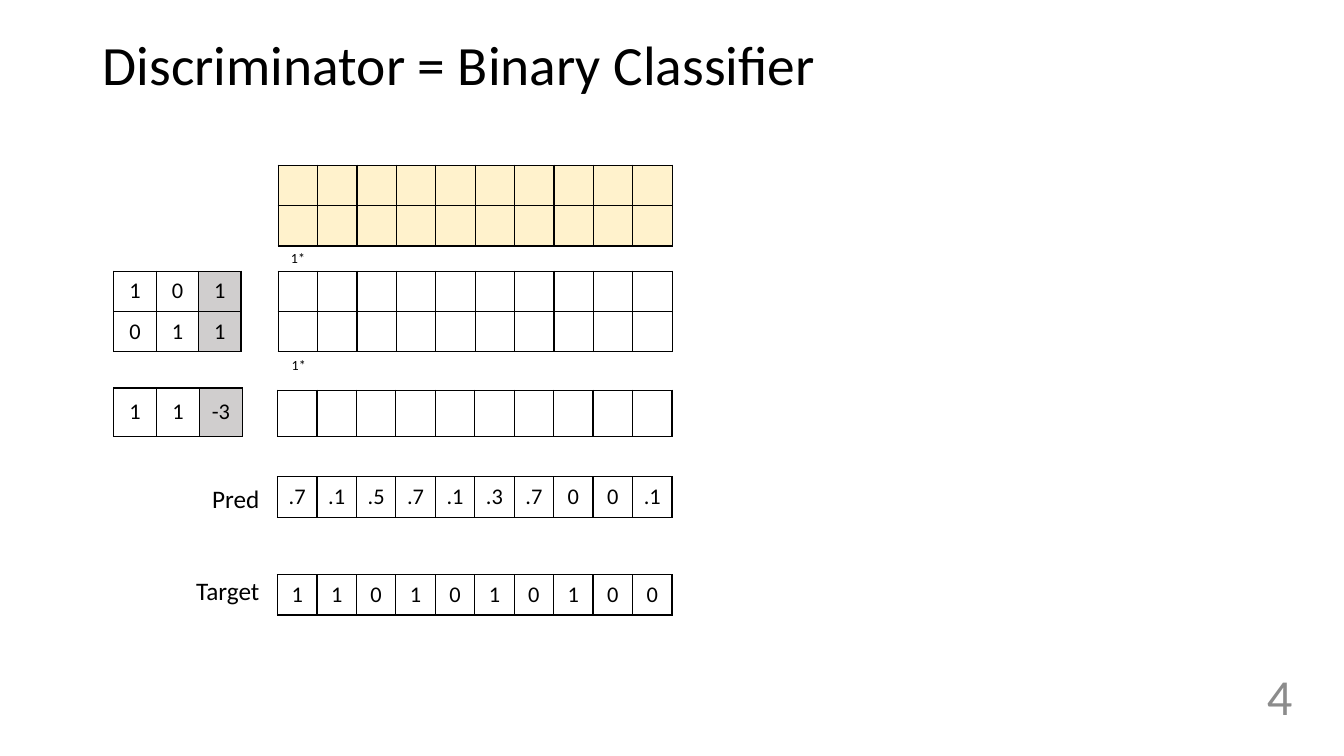
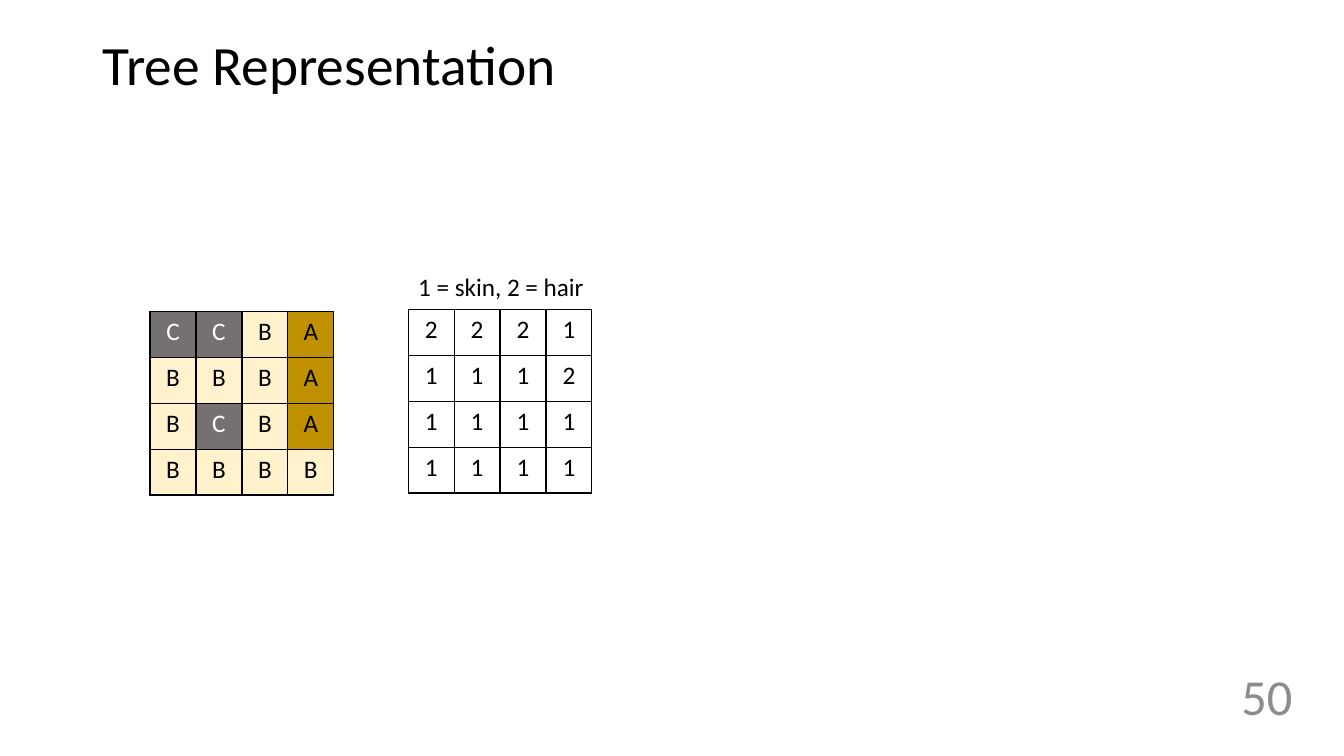
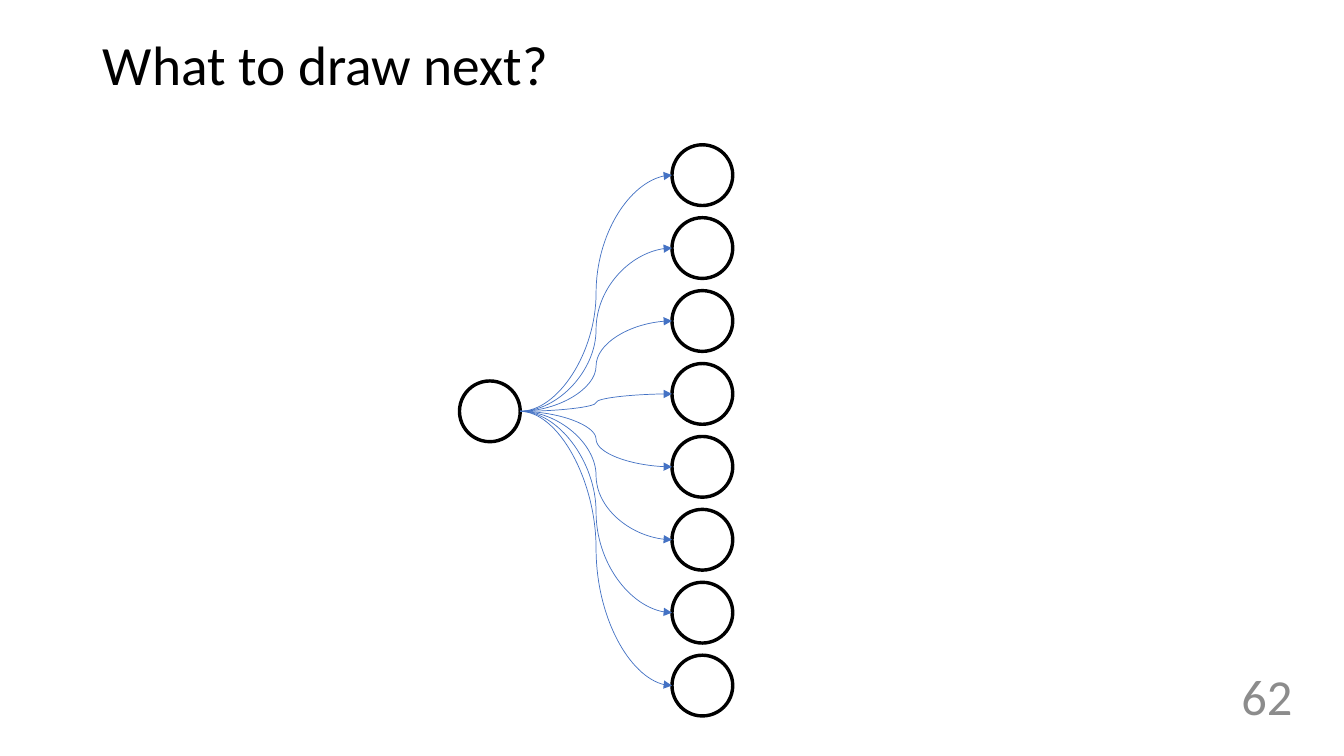
from collections import namedtuple

from lxml.etree import SubElement
from pptx import Presentation
from pptx.dml.color import RGBColor
from pptx.enum.shapes import MSO_CONNECTOR, MSO_SHAPE
from pptx.enum.text import MSO_ANCHOR, MSO_AUTO_SIZE, PP_ALIGN
from pptx.oxml.ns import qn
from pptx.util import Pt

Box = namedtuple("Box", "left top width height")

FONT = "Calibri"
BLACK, WHITE, NUMBER_GRAY, BLUE = "000000", "FFFFFF", "8C8C8C", "4472C4"
CREAM, BIAS_GRAY, HAIR_GRAY, GOLD = "FFF2CC", "D0CECE", "767171", "BF9000"
PLAIN_STYLE = "{2D5ABB26-0587-4C30-8999-92F81FD0307C}"

TITLE_BOX = Box(66.24, 28.8, 828, 39.6)
NUMBER_BOX = Box(840.24, 465.84, 90, 61.92)
TITLE_FRAME = {"vertical_anchor": MSO_ANCHOR.MIDDLE, "auto_size": MSO_AUTO_SIZE.NONE, "word_wrap": True}
NUMBER_FRAME = {"vertical_anchor": MSO_ANCHOR.MIDDLE, "word_wrap": True}
LABEL_FRAME = {"word_wrap": False, "auto_size": MSO_AUTO_SIZE.SHAPE_TO_FIT_TEXT}
TITLE_PARA = {"alignment": PP_ALIGN.LEFT, "line_spacing": 0.9}
NETWORK_CELL = {
    "vertical_anchor": MSO_ANCHOR.MIDDLE,
    "margin_left": Pt(6.5), "margin_right": Pt(6.5),
    "margin_top": Pt(3), "margin_bottom": Pt(3),
}
PIXEL_CELL = {"vertical_anchor": MSO_ANCHOR.TOP}

LETTER_FILLS = {"A": GOLD, "B": CREAM, "C": HAIR_GRAY}
LETTER_INKS = {"C": WHITE}


def color(value):
    return RGBColor.from_string(value)


def points(*values):
    return [Pt(value) for value in values]


def apply_format(target, values):
    for name, value in values.items():
        setattr(target, name, value)


def write(para, text, size, ink=BLACK):
    span = para.add_run()
    span.text = text
    apply_format(span.font, {"name": FONT, "size": Pt(size), "bold": False})
    span.font.color.rgb = color(ink)


def add_text(page, box, text, size, frame_format, para_format, ink=BLACK):
    frame = page.shapes.add_textbox(*points(*box)).text_frame
    apply_format(frame, frame_format)
    para = frame.paragraphs[0]
    apply_format(para, para_format)
    write(para, text, size, ink)


def add_page(deck, title, number):
    page = deck.slides.add_slide(deck.slide_layouts[5])
    holder = page.shapes.title
    apply_format(holder, dict(zip(Box._fields, points(*TITLE_BOX))))
    apply_format(holder.text_frame, TITLE_FRAME)
    para = holder.text_frame.paragraphs[0]
    apply_format(para, TITLE_PARA)
    write(para, title, 39.6)
    add_text(page, NUMBER_BOX, number, 36, NUMBER_FRAME, {"alignment": PP_ALIGN.RIGHT}, NUMBER_GRAY)
    return page


def add_label(page, box, text):
    add_text(page, box, text, 18, LABEL_FRAME, {"alignment": PP_ALIGN.LEFT})


def add_borders(cell):
    properties = cell._tc.get_or_add_tcPr()
    for side in ("a:lnL", "a:lnR", "a:lnT", "a:lnB"):
        line = SubElement(properties, qn(side), w=str(Pt(1)))
        SubElement(SubElement(line, qn("a:solidFill")), qn("a:srgbClr"), val=BLACK)


def add_grid(page, box, rows, size=16, cell_format=NETWORK_CELL, fill_for=None, inks=None, bordered=True):
    table = page.shapes.add_table(len(rows), len(rows[0]), *points(*box)).table
    apply_format(table, {"first_row": False, "horz_banding": False})
    table._tbl.tblPr.find(qn("a:tableStyleId")).text = PLAIN_STYLE
    for row_index, row in enumerate(rows):
        for column_index, text in enumerate(row):
            cell = table.cell(row_index, column_index)
            apply_format(cell, cell_format)
            if bordered:
                add_borders(cell)
            fill = fill_for(column_index, text) if fill_for else None
            if fill:
                cell.fill.solid()
                cell.fill.fore_color.rgb = color(fill)
            else:
                cell.fill.background()
            para = cell.text_frame.paragraphs[0]
            para.alignment = PP_ALIGN.CENTER
            if text:
                write(para, text, size, (inks or {}).get(text, BLACK))
            else:
                SubElement(para._p, qn("a:endParaRPr"), sz=str(size * 100))


def bias_fill(column, text):
    return BIAS_GRAY if column == 2 else None


def cream_fill(column, text):
    return CREAM


def letter_fill(column, text):
    return LETTER_FILLS[text]


def draw_classifier(page, box):
    empty = [""] * 10
    samples = box.left + 117.5
    width = box.width - 117.5
    add_grid(page, Box(samples, box.top, width, 57.6), [empty] * 2, fill_for=cream_fill)
    add_grid(page, Box(box.left, box.top + 75.6, 91, 57.6), ["101", "011"], fill_for=bias_fill)
    add_grid(page, Box(samples, box.top + 75.6, width, 57.6), [empty] * 2)
    add_grid(page, Box(box.left, box.top + 159.1, 92, 34.6), [["1", "1", "-3"]], fill_for=bias_fill)
    add_grid(page, Box(samples - 0.5, box.top + 160.6, width + 0.5, 33.1), [empty])
    for offset, top in ((-0.5, 55.4), (0, 131.8)):
        bias_box = Box(samples + offset, box.top + top, 87.8, 23)
        add_grid(page, bias_box, [["1*", "", ""]], size=10, bordered=False)
    predictions = [".7", ".1", ".5", ".7", ".1", ".3", ".7", "0", "0", ".1"]
    for top, values in ((222.5, predictions), (292.4, "1101010100")):
        add_grid(page, Box(samples - 0.5, box.top + top, width + 0.5, 28.8), [values])
    add_label(page, Box(box.left + 63.3, box.top + 223.9, 49, 28.8), "Pred")
    add_label(page, Box(box.left + 51.8, box.top + 289.4, 60.5, 28.8), "Target")


def draw_pixels(page, box):
    side = 131.2
    codes = box.left + box.width - side
    add_label(page, Box(codes, box.top, 134.6, 28.8), "1 = skin, 2 = hair")
    add_grid(page, Box(codes, box.top + 31, side, side), ["2221", "1112", "1111", "1111"],
             size=18, cell_format=PIXEL_CELL)
    add_grid(page, Box(box.left, box.top + 32.4, side, side), ["CCBA", "BBBA", "BCBA", "BBBB"],
             size=18, cell_format=PIXEL_CELL, fill_for=letter_fill, inks=LETTER_INKS)


def add_node(page, left, top, diameter):
    node = page.shapes.add_shape(MSO_SHAPE.OVAL, *points(left, top, diameter, diameter))
    node.shadow.inherit = False
    node.fill.background()
    node.line.color.rgb = color(BLACK)
    node.line.width = Pt(2.43)


def add_curve(page, start, end):
    curve = page.shapes.add_connector(MSO_CONNECTOR.CURVE, *points(*start, *end))
    curve.line.color.rgb = color(BLUE)
    curve.line.width = Pt(0.5)
    properties = curve._element.spPr
    SubElement(properties.find(qn("a:ln")), qn("a:tailEnd"), type="triangle")
    SubElement(properties, qn("a:effectLst"))


def draw_choices(page, box, count=8, diameter=43.4):
    radius = diameter / 2
    pitch = (box.height - diameter) / (count - 1)
    choices = box.left + box.width - diameter
    root_top = box.top + 168.7
    add_node(page, box.left, root_top, diameter)
    for index in range(count):
        top = box.top + index * pitch
        add_node(page, choices, top, diameter)
        add_curve(page, (box.left + diameter, root_top + radius), (choices, top + radius))


def main():
    deck = Presentation()
    deck.slide_width, deck.slide_height = points(960, 540)
    slides = [
        ("Discriminator = Binary Classifier", "4", draw_classifier, Box(81.2, 118.1, 399, 321.2)),
        ("Tree Representation", "50", draw_pixels, Box(107.2, 190, 315.6, 163.6)),
        ("What to draw next?", "62", draw_choices, Box(328.2, 103.4, 195.2, 408)),
    ]
    for title, number, draw, box in slides:
        draw(add_page(deck, title, number), box)
    deck.save("out.pptx")


if __name__ == "__main__":
    main()
